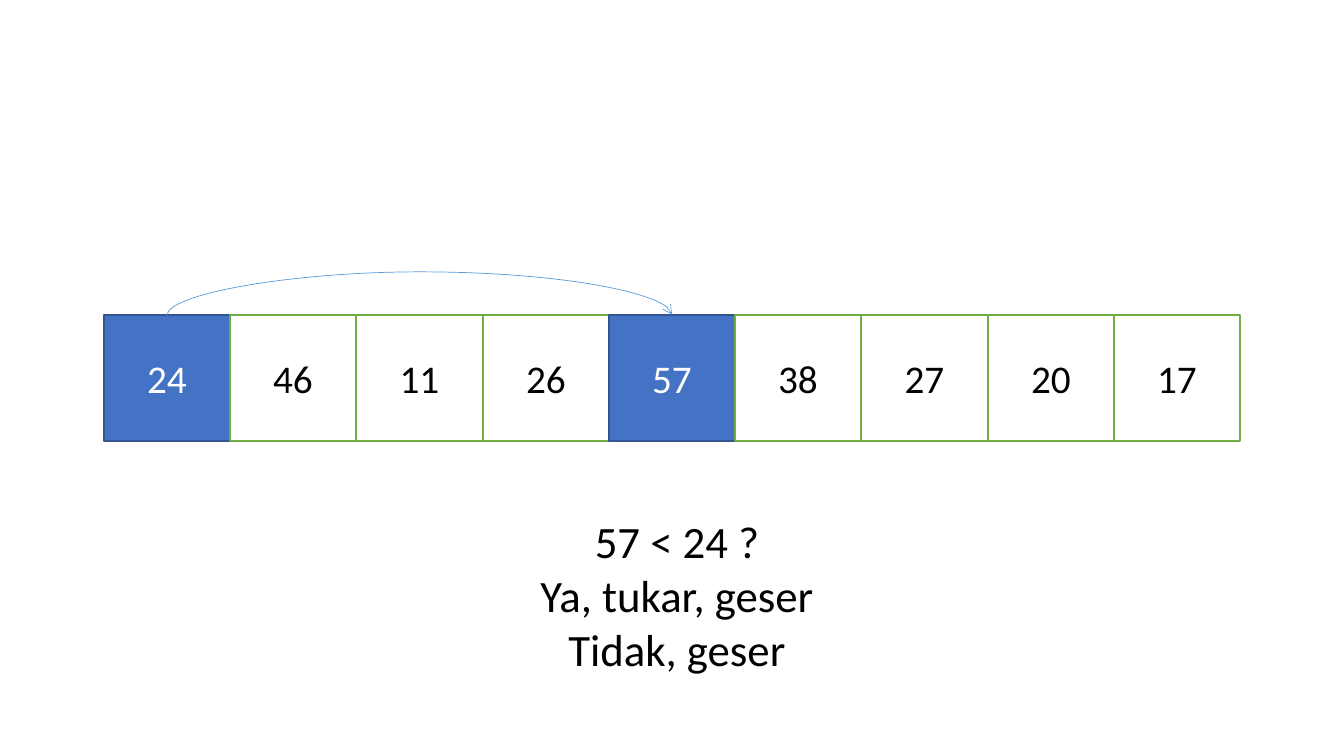
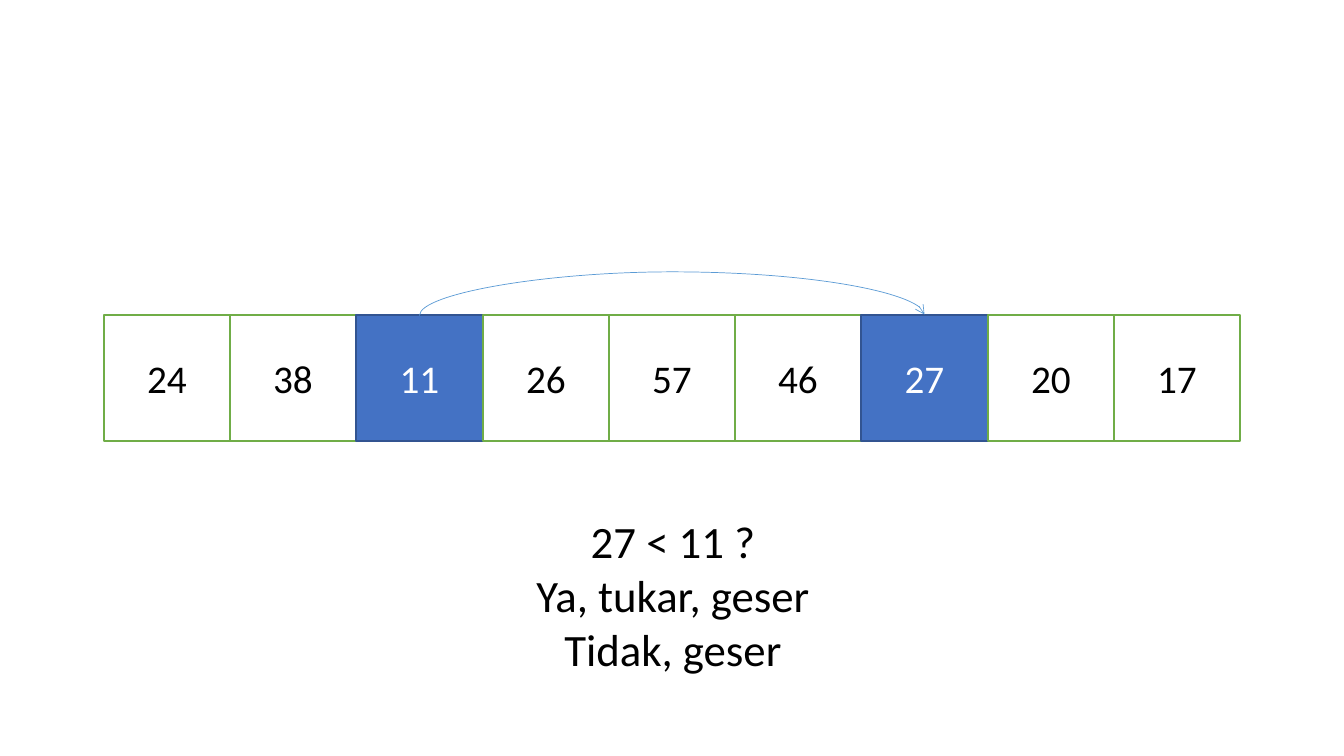
import pptx
import pptx.util
import pptx.dml.color
import pptx.enum.shapes
import pptx.enum.text
import pptx.oxml
import pptx.oxml.ns

SCALE = 12192000 / 1344  # EMU in one px


def px(length):
    return pptx.util.Emu(round(length * SCALE))


def colour(code):
    return pptx.dml.color.RGBColor.from_string(code)


class ArraySlides:
    """Style of the deck and the slide being drawn."""

    FONT = "Calibri"
    # fill, outline, text
    PLAIN = ("FFFFFF", "70AD47", "000000")
    COMPARED = ("4472C4", "325491", "FFFFFF")
    ARROW = "5B9BD5"
    ROW_LEFT, ROW_TOP, ROW_WIDTH, ROW_HEIGHT = 104, 315, 1136, 126
    ARC_HEIGHT = 44

    def __init__(self):
        self.deck = pptx.Presentation()
        self.deck.slide_width = px(1344)
        self.deck.slide_height = px(756)
        self.page = None

    def new_page(self):
        self.page = self.deck.slides.add_slide(self.deck.slide_layouts[6])

    def add_text(self, para, text, size, code):
        para.alignment = pptx.enum.text.PP_ALIGN.CENTER
        span = para.add_run()
        span.text = text
        span.font.name = self.FONT
        span.font.size = pptx.util.Pt(size)
        span.font.color.rgb = colour(code)

    def cell(self, left, width, number, style):
        fill, outline, ink = style
        box = self.page.shapes.add_shape(
            pptx.enum.shapes.MSO_SHAPE.RECTANGLE,
            px(left), px(self.ROW_TOP), px(width), px(self.ROW_HEIGHT))
        box.shadow.inherit = False
        box.fill.solid()
        box.fill.fore_color.rgb = colour(fill)
        box.line.color.rgb = colour(outline)
        box.line.width = pptx.util.Pt(1)
        box.text_frame.vertical_anchor = pptx.enum.text.MSO_ANCHOR.MIDDLE
        self.add_text(box.text_frame.paragraphs[0], str(number), 28, ink)
        return box

    def row(self, numbers, compared):
        count = len(numbers)
        edges = [self.ROW_LEFT + round(i * self.ROW_WIDTH / count)
                 for i in range(count + 1)]
        return [self.cell(edges[i], edges[i + 1] - edges[i], number,
                          self.COMPARED if i in compared else self.PLAIN)
                for i, number in enumerate(numbers)]

    def caption(self, left, lines):
        box = self.page.shapes.add_textbox(px(left), px(509), px(460), px(173))
        frame = box.text_frame
        frame.word_wrap = True
        frame.auto_size = pptx.enum.text.MSO_AUTO_SIZE.SHAPE_TO_FIT_TEXT
        for i, line in enumerate(lines):
            para = frame.add_paragraph() if i else frame.paragraphs[0]
            self.add_text(para, line, 32, "000000")

    def arc(self, source, target):
        """Curved arrow from the top of one cell to the top of another."""
        start, end = (box.left + box.width // 2 for box in (source, target))
        arrow = self.page.shapes.add_connector(
            pptx.enum.shapes.MSO_CONNECTOR.CURVE,
            start, source.top, end, target.top)
        arrow.begin_connect(source, 0)
        arrow.end_connect(target, 0)
        arrow.line.color.rgb = colour(self.ARROW)
        arrow.line.width = pptx.util.Pt(0.5)

        # The frame is one px wide and turned, so the bend rises above the row
        span = end - start
        arrow.width, arrow.height = px(1), span
        arrow.left = (start + end - px(1)) // 2
        arrow.top = source.top - span // 2
        properties = arrow._element.spPr
        properties.find(pptx.oxml.ns.qn("a:xfrm")).set("rot", "16200000")
        namespace = pptx.oxml.ns.nsdecls("a")
        guides = properties.find(pptx.oxml.ns.qn("a:prstGeom")).get_or_add_avLst()
        guides.append(pptx.oxml.parse_xml(
            f'<a:gd {namespace} name="adj1" fmla="val {self.ARC_HEIGHT * 100000}"/>'))
        arrow.line._get_or_add_ln().append(
            pptx.oxml.parse_xml(f'<a:tailEnd {namespace} type="arrow"/>'))
        properties.append(pptx.oxml.parse_xml(f"<a:effectLst {namespace}/>"))

    def comparison(self, numbers, first, second, caption_left):
        self.new_page()
        cells = self.row(numbers, (first, second))
        self.caption(caption_left, [f"{numbers[second]} < {numbers[first]} ?",
                                    "Ya, tukar, geser", "Tidak, geser"])
        self.arc(cells[first], cells[second])


def main():
    slides = ArraySlides()
    # Elements four places apart are compared
    slides.comparison([24, 46, 11, 26, 57, 38, 27, 20, 17], 0, 4, 447)
    slides.comparison([24, 38, 11, 26, 57, 46, 27, 20, 17], 2, 6, 443)
    slides.deck.save("out.pptx")


if __name__ == "__main__":
    main()
